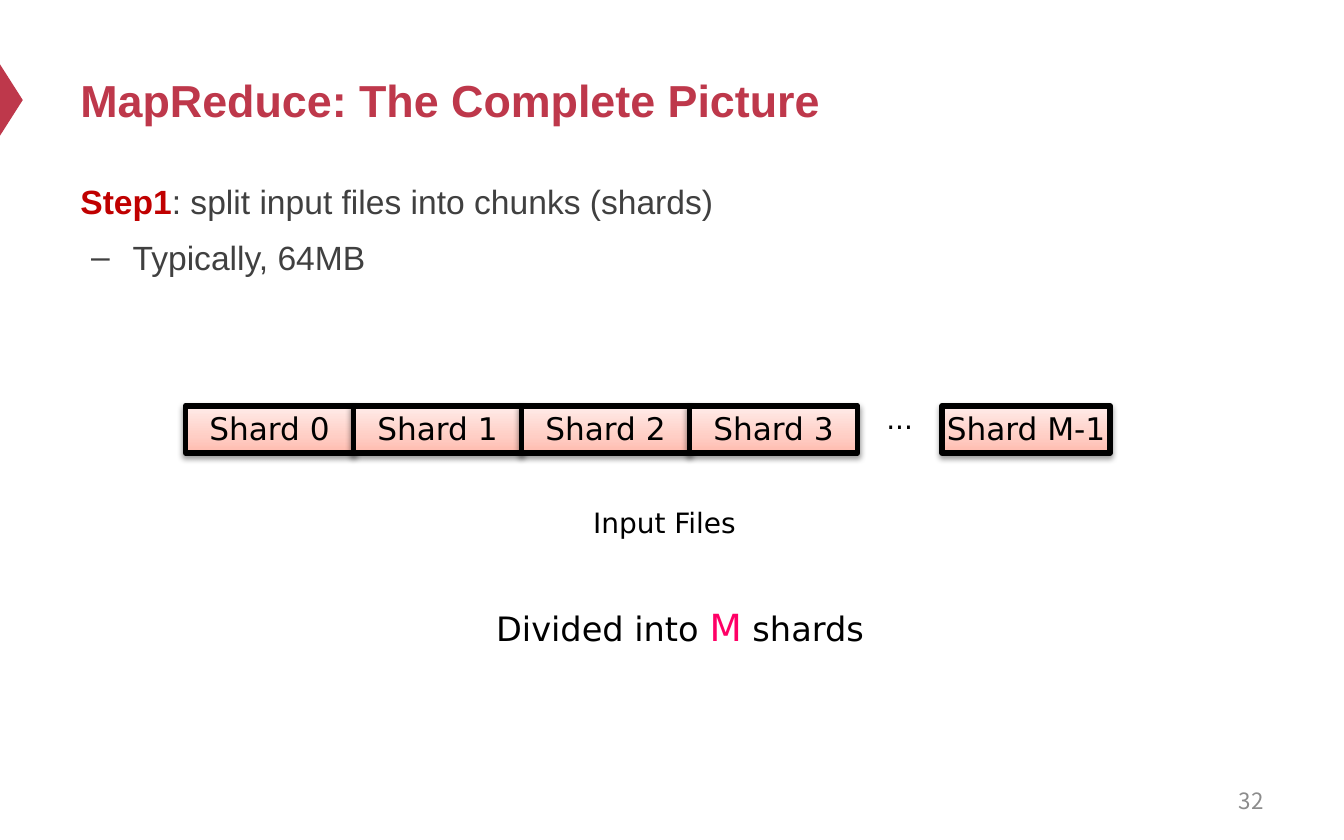
from copy import deepcopy

from lxml import etree
from pptx import Presentation
from pptx.dml.color import RGBColor
from pptx.enum.shapes import MSO_SHAPE
from pptx.enum.text import MSO_ANCHOR, PP_ALIGN
from pptx.oxml.ns import qn
from pptx.util import Pt

RECTANGLE, TRIANGLE = MSO_SHAPE.RECTANGLE, MSO_SHAPE.ISOSCELES_TRIANGLE
TOP, MIDDLE = MSO_ANCHOR.TOP, MSO_ANCHOR.MIDDLE
LEFT, CENTER, RIGHT = PP_ALIGN.LEFT, PP_ALIGN.CENTER, PP_ALIGN.RIGHT

SANS, DIAGRAM, NUMBER = "Arial", "DejaVu Sans", "Noto Sans CJK SC"
BLACK, ACCENT, BODY = "000000", "BE384B", "404040"

# Content: a span is (text, size, colour, bold)
TITLE = [("MapReduce: The Complete Picture", 24, ACCENT, True)]
STEP = [("Step1", 18, "C00000", True),
        (": split input files into chunks (shards)", 18, BODY, False)]
DETAIL = [("Typically, 64MB", 18, BODY, False)]
PAGE_NUMBER = [("32", 12, "8C8C8C", False)]
CAPTIONS = [  # left, top, width, height, spans
    (278.6, 267.1, 154.8, 25.2, [("Input Files", 15, BLACK, False)]),
    (455, 211.7, 54, 25.2, [("...", 15, BLACK, False)]),
    (235.4, 320.4, 257.8, 31.7, [("Divided into ", 18, BLACK, False),
                                 ("M", 20, "FF0066", False),
                                 (" shards", 18, BLACK, False)]),
]
SHARDS = ["Shard 0", "Shard 1", "Shard 2", "Shard 3", "Shard M-1"]
SHARD_LEFT, SHARD_TOP, SHARD_WIDTH, SHARD_HEIGHT = 99.4, 217.4, 90, 25.2
LAST_SHARD_LEFT = 504.7
SHARD_STOPS = [(0, "FFBBAE"), (0.35, "FFCEC5"), (1, "FFECE9")]


def color(value):
    return RGBColor.from_string(value)


def write(para, spans, font, align=LEFT):
    para.alignment = align
    para.font.name = font
    for text, size, shade, bold in spans:
        span = para.add_run()
        span.text = text
        span.font.name = font
        span.font.size = Pt(size)
        span.font.bold = bold
        span.font.color.rgb = color(shade)


def add_text(page, left, top, width, height, spans, font, align=LEFT, anchor=TOP):
    box = page.shapes.add_textbox(Pt(left), Pt(top), Pt(width), Pt(height))
    frame = box.text_frame
    frame.word_wrap = True
    frame.vertical_anchor = anchor
    write(frame.paragraphs[0], spans, font, align)
    return frame


def add_shadow(shape):
    effects = shape._element.spPr.find(qn("a:effectLst"))
    shadow = etree.SubElement(effects, qn("a:outerShdw"), blurRad=str(Pt(3.1)),
                              dist=str(Pt(1.6)), dir="5400000", rotWithShape="0")
    shade = etree.SubElement(shadow, qn("a:srgbClr"), val=BLACK)
    etree.SubElement(shade, qn("a:alpha"), val="38000")


def add_shard(page, left, label):
    shard = page.shapes.add_shape(RECTANGLE, Pt(left), Pt(SHARD_TOP),
                                  Pt(SHARD_WIDTH), Pt(SHARD_HEIGHT))
    shard.fill.gradient()
    shard.fill.gradient_angle = 90
    stop_list = shard._element.spPr.find(".//" + qn("a:gsLst"))
    stop_list.append(deepcopy(stop_list[0]))
    for stop, (position, shade) in zip(shard.fill.gradient_stops, SHARD_STOPS):
        stop.position = position
        stop.color.rgb = color(shade)
    shard.line.color.rgb = color(BLACK)
    shard.line.width = Pt(3)
    etree.SubElement(shard.line._ln, qn("a:round"))
    shard.shadow.inherit = False
    add_shadow(shard)
    frame = shard.text_frame
    frame.word_wrap = False
    frame.vertical_anchor = MIDDLE
    frame.margin_top, frame.margin_bottom = Pt(2.2), Pt(3.6)
    write(frame.paragraphs[0], [(label, 16.7, BLACK, False)], DIAGRAM, CENTER)


deck = Presentation()
deck.slide_width, deck.slide_height = Pt(720), Pt(450)
page = deck.slides.add_slide(deck.slide_layouts[6])

# Edge marker, title and page number
marker = page.shapes.add_shape(TRIANGLE, Pt(-13), Pt(47.5), Pt(38.2), Pt(12.2))
marker.rotation = 90
marker.fill.solid()
marker.fill.fore_color.rgb = color(ACCENT)
marker.line.fill.background()
marker.shadow.inherit = False
add_text(page, 36, 18, 648, 70.6, TITLE, SANS, anchor=MIDDLE)
add_text(page, 516.2, 416.9, 167.8, 23.8, PAGE_NUMBER, NUMBER, RIGHT, MIDDLE)

# Step with its dashed detail
body = add_text(page, 36, 89.3, 648, 209.5, STEP, SANS)
detail = body.add_paragraph()
detail.level = 1
detail.space_before = Pt(4)
for para in body.paragraphs:
    para.line_spacing = 1.2
properties = detail._p.get_or_add_pPr()
properties.set("marL", str(Pt(28)))
properties.set("indent", str(Pt(-22.3)))
etree.SubElement(properties, qn("a:buFont"), typeface=SANS)
etree.SubElement(properties, qn("a:buChar"), char="–")
write(detail, DETAIL, SANS)

# Row of shards, the last one set apart
for index, label in enumerate(SHARDS[:-1]):
    add_shard(page, SHARD_LEFT + index * SHARD_WIDTH, label)
add_shard(page, LAST_SHARD_LEFT, SHARDS[-1])

for left, top, width, height, spans in CAPTIONS:
    add_text(page, left, top, width, height, spans, DIAGRAM, CENTER)

deck.save("out.pptx")
